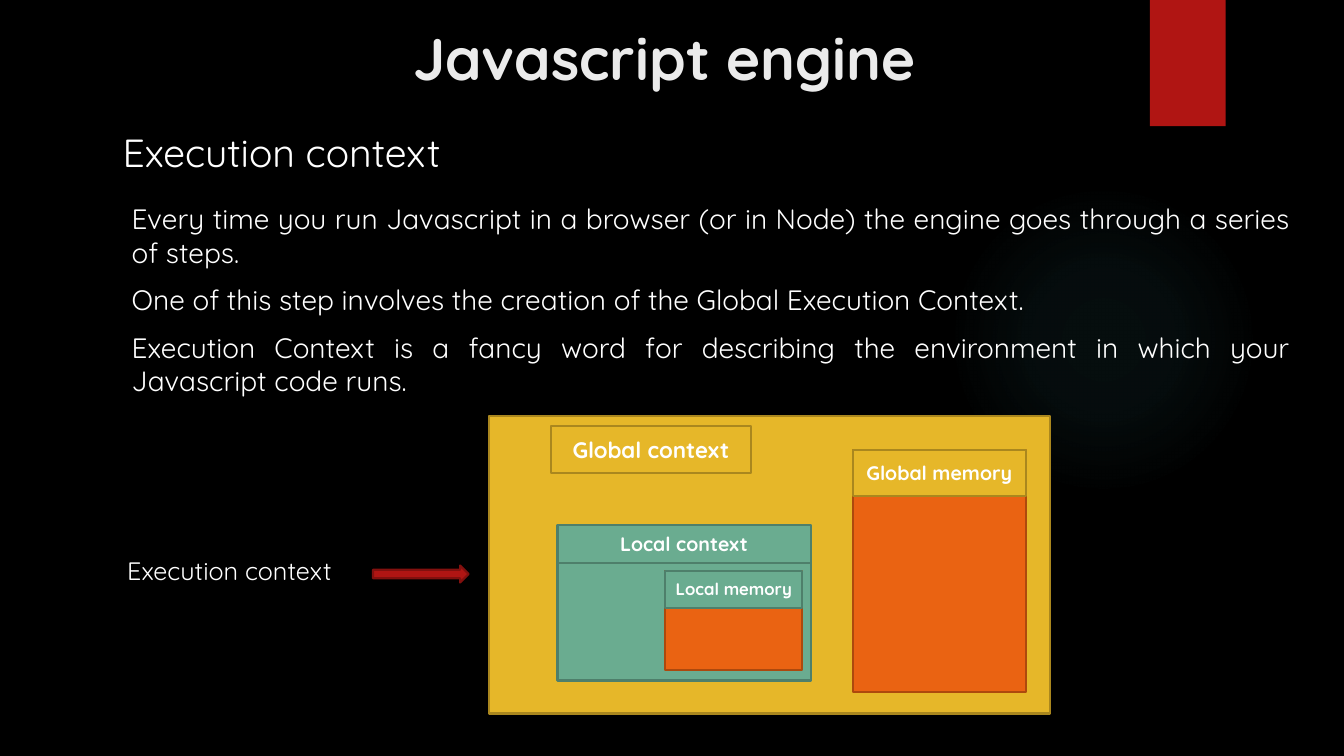
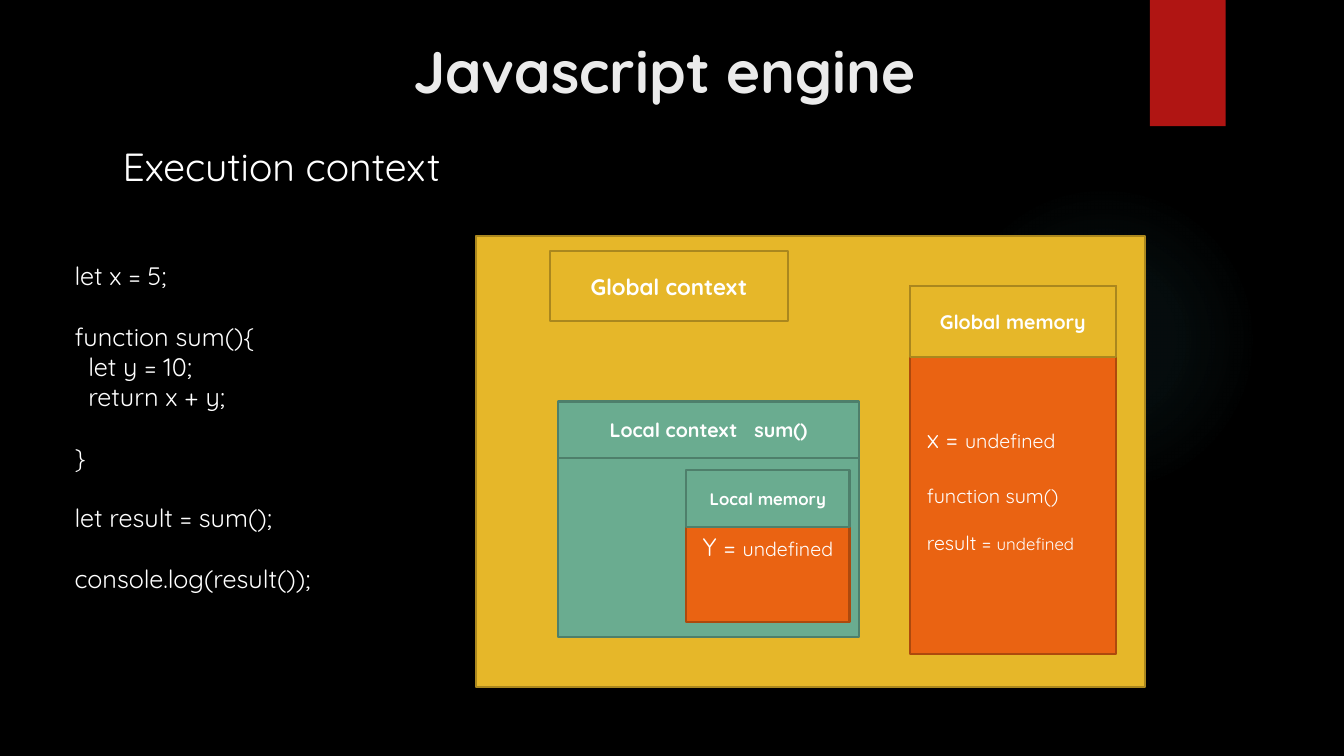
"""Build two slides on the execution context of a Javascript engine."""
import lxml.etree
import pptx
import pptx.dml.color
import pptx.enum.shapes
import pptx.enum.text
import pptx.oxml
import pptx.oxml.ns
import pptx.util

Cm, Pt = pptx.util.Cm, pptx.util.Pt
RGBColor = pptx.dml.color.RGBColor
SHAPE = pptx.enum.shapes.MSO_SHAPE
ALIGN = pptx.enum.text.PP_ALIGN
ANCHOR = pptx.enum.text.MSO_ANCHOR

FONT = "Quicksand"
BLACK = RGBColor(0x00, 0x00, 0x00)
WHITE = RGBColor(0xFF, 0xFF, 0xFF)
PALE = RGBColor(0xEB, 0xEB, 0xEB)
RED = RGBColor(0xB0, 0x15, 0x13)
MAROON = RGBColor(0x82, 0x10, 0x0E)
GOLD = RGBColor(0xE6, 0xB7, 0x29)
BRONZE = RGBColor(0xAA, 0x87, 0x1E)
ORANGE = RGBColor(0xEA, 0x63, 0x12)
RUST = RGBColor(0xAD, 0x49, 0x0D)
GREEN = RGBColor(0x6A, 0xAC, 0x90)
PINE = RGBColor(0x4E, 0x7F, 0x6B)
GLOW = RGBColor(0x50, 0xB9, 0xC1)
EDGES = {GOLD: BRONZE, ORANGE: RUST, GREEN: PINE, RED: MAROON}

TITLE = "Javascript engine"
TOPIC = "Execution context"
INTRO = [
    "Every time you run Javascript in a browser (or in Node) the engine goes through a series of steps.",
    "One of this step involves the creation of the Global Execution Context.",
    "Execution Context is a fancy word for describing the environment in which your Javascript code runs.",
]
CODE = [
    ["let x = 5;"],
    ["function sum(){", "  let y = 10;", "  return x + y;"],
    ["}"],
    ["let result = sum();"],
    ["console.log(result());"],
]
SMALL = {"size": 14}
VARS = [
    ["x = ", ("undefined", SMALL)],
    [("function sum()", SMALL)],
    [("result = ", SMALL), ("undefined", {"size": 12})],
]
LOCAL = [["Local context", (" ", {"track": 8}), "sum()"]]
INNER = [["Y = ", ("undefined", SMALL)]]

BASE = (14.15, 7.49)
PARTS = [
    ("frame", (0, 0, 14.15, 7.49), GOLD, None, 14),
    ("global body", (9.17, 0.84, 4.37, 6.1), ORANGE, None, 14),
    ("global head", (9.17, 0.84, 4.37, 1.17), GOLD, "Global memory", 14),
    ("context", (1.57, 0.25, 5.03, 1.17), GOLD, "Global context", 16),
    ("local", (1.73, 2.77, 6.38, 3.89), GREEN, None, 14),
    ("local head", (1.73, 2.75, 6.38, 0.94), GREEN, "Local context", 14),
    ("inner body", (4.45, 3.91, 3.45, 2.49), ORANGE, None, 18),
    ("inner head", (4.45, 3.89, 3.45, 0.94), GREEN, "Local memory", 12),
]


def style(run, size, color, bold, track=0):
    """Format one run."""
    font = run.font
    font.name, font.size, font.bold = FONT, Pt(size), bold
    font.color.rgb = color
    if track:
        run._r.get_or_add_rPr().set("spc", str(track * 100))


def text(shape, lines, size=18, color=WHITE, bold=False, align=ALIGN.LEFT,
         anchor=ANCHOR.TOP, gaps=None, leading=None, side=0.25):
    """Fill a shape with paragraphs made of plain or formatted runs."""
    frame = shape.text_frame
    frame.word_wrap = True
    frame.auto_size = pptx.enum.text.MSO_AUTO_SIZE.NONE
    frame.vertical_anchor = anchor
    frame.margin_left = frame.margin_right = Cm(side)
    for i, line in enumerate(lines):
        para = frame.paragraphs[0] if i == 0 else frame.add_paragraph()
        if shape.is_placeholder:
            props = para._p.get_or_add_pPr()
            props.set("marL", "0")
            props.set("indent", "0")
            lxml.etree.SubElement(props, pptx.oxml.ns.qn("a:buNone"))
        para.alignment = align
        para.space_before = Pt(gaps[i] if gaps else 0)
        if leading:
            para.line_spacing = leading
        for part in [line] if isinstance(line, str) else line:
            words, extra = (part, {}) if isinstance(part, str) else part
            run = para.add_run()
            run.text = words
            style(run, **{"size": size, "color": color, "bold": bold, **extra})


def place(shape, spot):
    """Move and size a shape in centimetres."""
    shape.left, shape.top, shape.width, shape.height = map(Cm, spot)


def label(slide, spot, lines, **form):
    """Add a text box."""
    text(slide.shapes.add_textbox(*map(Cm, spot)), lines, **form)


def block(slide, spot, fill, kind=SHAPE.RECTANGLE, line=True):
    """Add a filled shape, edged in the darker tone of its fill."""
    shape = slide.shapes.add_shape(kind, *map(Cm, spot))
    shape.shadow.inherit = False
    shape.fill.solid()
    shape.fill.fore_color.rgb = fill
    if line:
        shape.line.color.rgb = EDGES[fill]
        shape.line.width = Pt(1.5)
    else:
        shape.line.fill.background()
    return shape


def decor(deck, slide):
    """Give the master its background, glow and ribbon."""
    master = deck.slide_master
    master.background.fill.solid()
    master.background.fill.fore_color.rgb = BLACK
    glow = block(slide, (23.9, 4.65, 7.82, 7.82), GLOW, SHAPE.OVAL, False)
    stops = "".join(
        f'<a:gs pos="{pos}000"><a:srgbClr val="{GLOW}"><a:alpha val="{alpha}000"/></a:srgbClr></a:gs>'
        for pos, alpha in ((0, 7), (36, 6), (69, 0)))
    grad = pptx.oxml.parse_xml(
        f'<a:gradFill {pptx.oxml.ns.nsdecls("a")}><a:gsLst>{stops}</a:gsLst><a:path path="circle">'
        '<a:fillToRect l="50000" t="50000" r="50000" b="50000"/></a:path></a:gradFill>')
    solid = glow.element.spPr.find(pptx.oxml.ns.qn("a:solidFill"))
    glow.element.spPr.replace(solid, grad)
    ribbon = block(slide, (28.98, 0, 1.91, 3.18), RED, line=False)
    for num, shape in enumerate((glow, ribbon), 20):
        shape.element.xpath(".//p:cNvPr")[0].set("id", str(num))
        master.shapes.element.append(shape.element)


def heads(slide, top):
    """Write the title and the topic below it."""
    title = slide.shapes.title
    place(title, (9.09, top, 15.32, 2.03))
    text(title, [TITLE], size=42, color=PALE, bold=True,
         align=ALIGN.CENTER, anchor=ANCHOR.MIDDLE)
    label(slide, (2.84, top + 2.84, 9.91, 1.52), [TOPIC], size=28, leading=0.9)


def chart(slide, left, top, width, height, **words):
    """Draw the nested contexts, scaled to the given frame."""
    across, down = width / BASE[0], height / BASE[1]
    for name, (x, y, w, h), fill, head, size in PARTS:
        shape = block(slide, (left + x * across, top + y * down, w * across, h * down), fill)
        key = name.replace(" ", "_")
        lines = words.get(key, [head] if head else None)
        if lines:
            text(shape, lines, size=size, bold=bool(head),
                 align=ALIGN.CENTER, anchor=ANCHOR.MIDDLE, side=0)


def main():
    """Make and save the deck."""
    deck = pptx.Presentation()
    deck.slide_width, deck.slide_height = Cm(33.87), Cm(19.05)

    first = deck.slides.add_slide(deck.slide_layouts[1])
    decor(deck, first)
    heads(first, 0.41)
    body = first.placeholders[1]
    place(body, (3.07, 4.95, 29.69, 5.46))
    text(body, INTRO, size=20, align=ALIGN.JUSTIFY, gaps=[0, 10, 10])
    chart(first, 12.32, 10.49, 14.15, 7.49)
    label(first, (2.29, 13.69, 6.99, 1.37), [TOPIC],
          align=ALIGN.CENTER, anchor=ANCHOR.MIDDLE)
    block(first, (9.4, 14.25, 2.41, 0.43), RED, SHAPE.RIGHT_ARROW)

    second = deck.slides.add_slide(deck.slide_layouts[5])
    heads(second, 0.76)
    chart(second, 11.99, 5.94, 16.87, 11.38, local_head=LOCAL, inner_body=INNER)
    lines = [line for group in CODE for line in group]
    gaps = [21.6 if i and not j else 0
            for i, group in enumerate(CODE) for j in range(len(group))]
    label(second, (1.63, 5.21, 9.12, 11.1), lines, gaps=gaps, anchor=ANCHOR.MIDDLE)
    label(second, (23.11, 9.58, 4.6, 5.49), VARS, gaps=[0, 21.6, 16.8],
          align=ALIGN.JUSTIFY, anchor=ANCHOR.MIDDLE)

    deck.save("out.pptx")


if __name__ == "__main__":
    main()
